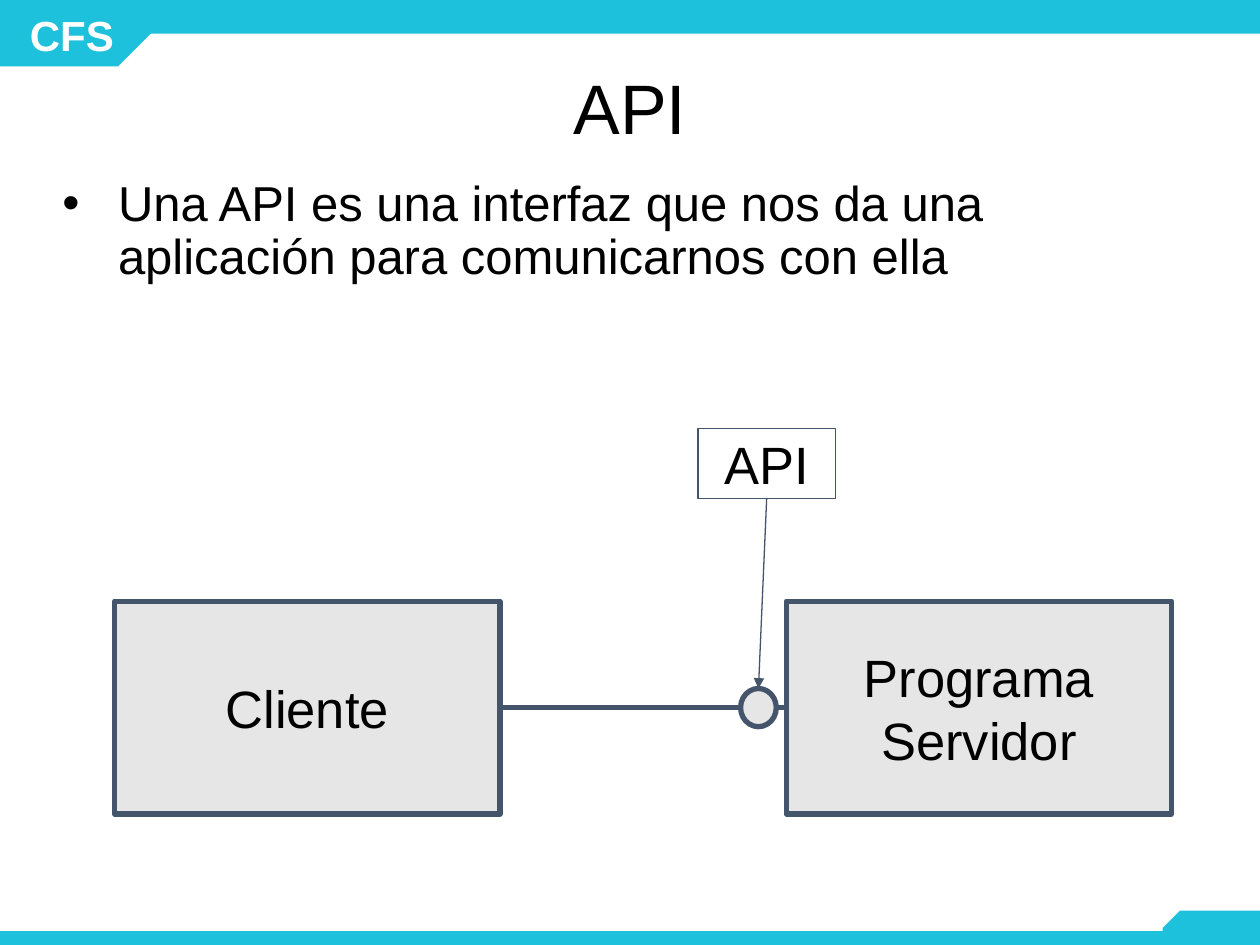
"""Build the slide that explains an API between a client and a server."""
from lxml import etree
from pptx import Presentation
from pptx.dml.color import RGBColor
from pptx.enum.shapes import MSO_CONNECTOR, MSO_SHAPE
from pptx.enum.text import MSO_ANCHOR, MSO_AUTO_SIZE, PP_ALIGN
from pptx.oxml.ns import qn
from pptx.util import Cm, Pt

RECT, SNIP, OVAL = MSO_SHAPE.RECTANGLE, MSO_SHAPE.SNIP_1_RECTANGLE, MSO_SHAPE.OVAL
LINE = MSO_CONNECTOR.STRAIGHT
MIDDLE, TOP = MSO_ANCHOR.MIDDLE, MSO_ANCHOR.TOP
CENTER, LEFT = PP_ALIGN.CENTER, PP_ALIGN.LEFT
FIXED = MSO_AUTO_SIZE.NONE

CYAN = RGBColor(0x1D, 0xC1, 0xDC)
SLATE = RGBColor(0x44, 0x54, 0x6A)
GRAY = RGBColor(0xE7, 0xE6, 0xE6)
BLACK = RGBColor(0, 0, 0)
WHITE = RGBColor(255, 255, 255)

WIDE, HIGH = 25.4, 19.05
THICK, THIN = 3, 0.75
TITLE = "API"
BODY = "Una API es una interfaz que nos da una aplicación para comunicarnos con ella"
BANDS = [
    (RECT, (0, 18.77, WIDE, 0.28), 0),
    (SNIP, (23.44, 18.36, 1.96, 0.69), 0),
    (RECT, (2.84, 0, 22.56, 0.68), 0),
    (SNIP, (0, 0, 3.05, 1.34), 180),
]
NODES = {
    "client": (RECT, (2.31, 12.12, 7.77, 4.29), GRAY, THICK, "Cliente"),
    "server": (RECT, (15.85, 12.12, 7.77, 4.29), GRAY, THICK, "Programa Servidor"),
    "label": (RECT, (14.07, 8.64, 2.77, 1.41), None, THIN, "API"),
    "port": (OVAL, (14.93, 13.88, 0.72, 0.77), GRAY, THICK, ""),
}


def place(box):
    return [Cm(n) for n in box]


def write(shape, text, size, color=BLACK, bold=False, align=CENTER, anchor=MIDDLE, pad=0.25):
    frame = shape.text_frame
    frame.word_wrap = True
    frame.auto_size = FIXED
    frame.vertical_anchor = anchor
    frame.margin_left = frame.margin_right = Cm(0.25)
    frame.margin_top = frame.margin_bottom = Cm(pad)
    frame.text = text
    para = frame.paragraphs[0]
    para.alignment = align
    font = para.font
    font.name, font.size, font.bold = "Arial", Pt(size), bold
    font.color.rgb = color
    return para


def add_band(shapes, kind, box, turn):
    band = shapes.add_shape(kind, *place(box))
    band.shadow.inherit = False
    band.fill.solid()
    band.fill.fore_color.rgb = CYAN
    band.line.fill.background()
    if kind == SNIP:
        band.adjustments[0] = 0.5
        band.rotation = turn
        band._element.spPr.xfrm.set("flipH", "1")


def add_node(shapes, kind, box, fill, weight, text):
    node = shapes.add_shape(kind, *place(box))
    node.shadow.inherit = False
    if fill is None:
        node.fill.background()
    else:
        node.fill.solid()
        node.fill.fore_color.rgb = fill
    node.line.color.rgb = SLATE
    node.line.width = Pt(weight)
    if text:
        write(node, text, 30)
    return node


def link(shapes, start, side, end, goal, weight, arrow=False):
    wire = shapes.add_connector(LINE, 0, 0, 0, 0)
    wire.begin_connect(start, side)
    wire.end_connect(end, goal)
    wire.line.color.rgb = SLATE
    wire.line.width = Pt(weight)
    props = wire._element.spPr
    etree.SubElement(props, qn("a:effectLst"))
    if arrow:
        etree.SubElement(props.find(qn("a:ln")), qn("a:tailEnd"), type="triangle")


def add_body(shapes):
    box = shapes.add_textbox(*place((0.86, 3.48, 23.67, 5.66)))
    para = write(box, BODY, 28, align=LEFT, anchor=TOP, pad=0.13)
    para.line_spacing = 0.9
    props = para._p.get_or_add_pPr()
    props.set("marL", str(Cm(1.27)))
    props.set("indent", str(Cm(-1.12)))
    etree.SubElement(props, qn("a:buFont"), typeface="Arial")
    etree.SubElement(props, qn("a:buChar"), char="•")
    font = props.find(qn("a:defRPr"))
    if font is not None:
        props.append(font)


def main():
    deck = Presentation()
    deck.slide_width, deck.slide_height = Cm(WIDE), Cm(HIGH)
    slide = deck.slides.add_slide(deck.slide_layouts[5])
    shapes = slide.shapes
    for band in BANDS:
        add_band(shapes, *band)
    badge = shapes.add_textbox(*place((0.18, 0.1, 2.54, 1.19)))
    write(badge, "CFS", 24, WHITE, bold=True)

    title = shapes.title
    title.left, title.top, title.width, title.height = place((1.75, 1.19, 21.9, 2.13))
    write(title, TITLE, 40, pad=0.13).line_spacing = 0.9
    add_body(shapes)

    client, server = (add_node(shapes, *NODES[key]) for key in ("client", "server"))
    link(shapes, client, 3, server, 1, THICK)
    port, label = (add_node(shapes, *NODES[key]) for key in ("port", "label"))
    link(shapes, label, 2, port, 0, THIN, arrow=True)
    deck.save("out.pptx")


if __name__ == "__main__":
    main()
